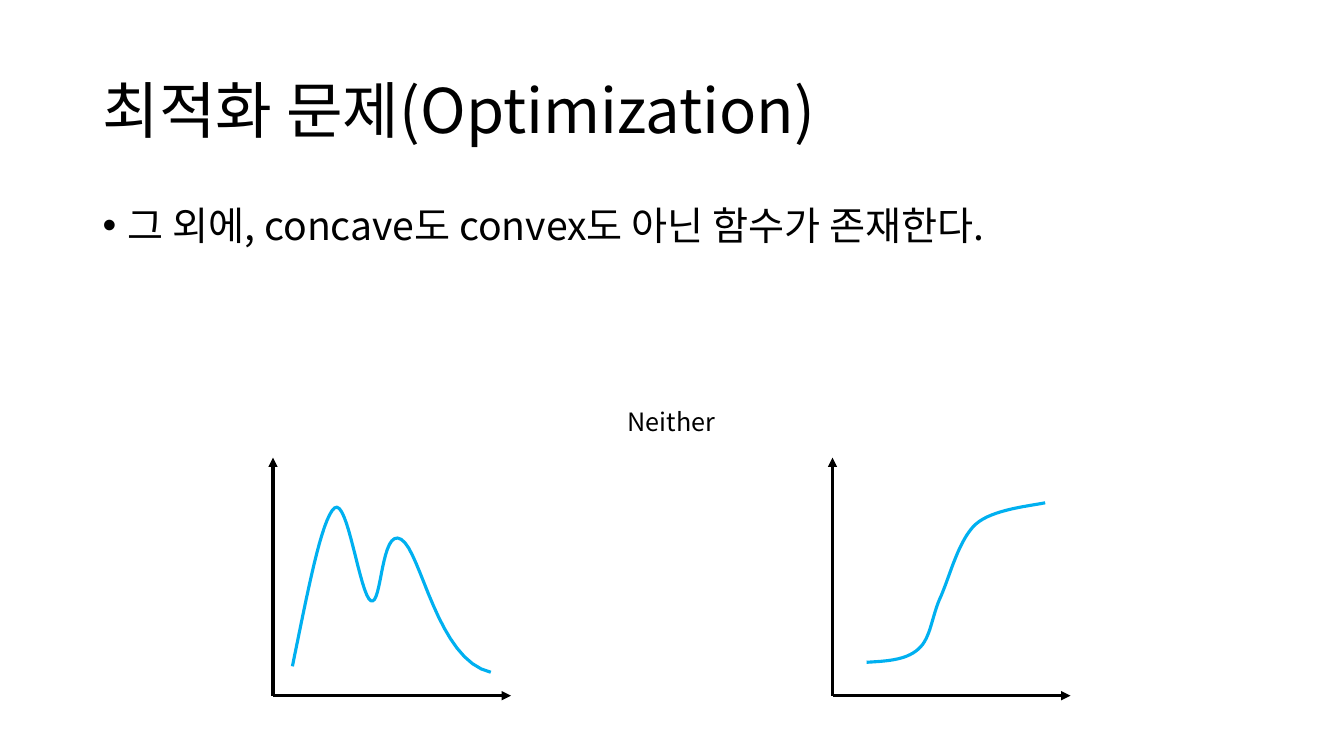
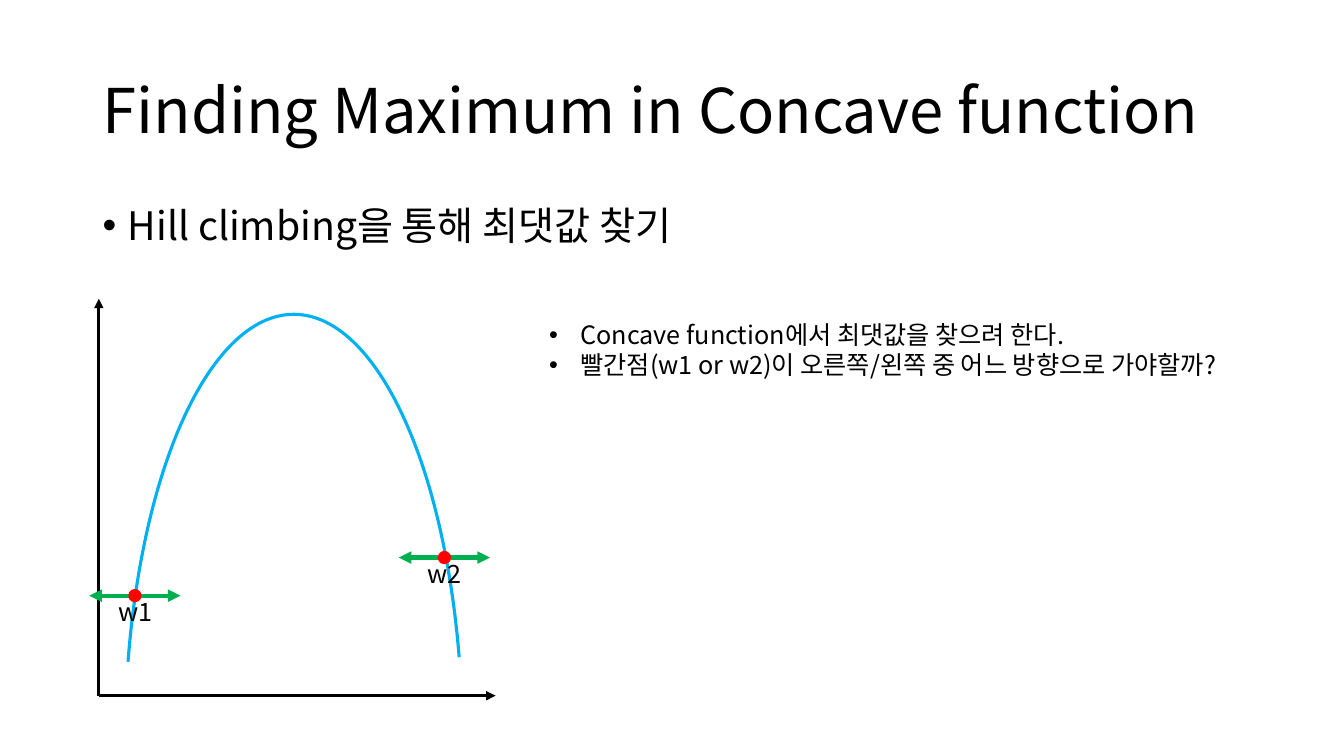
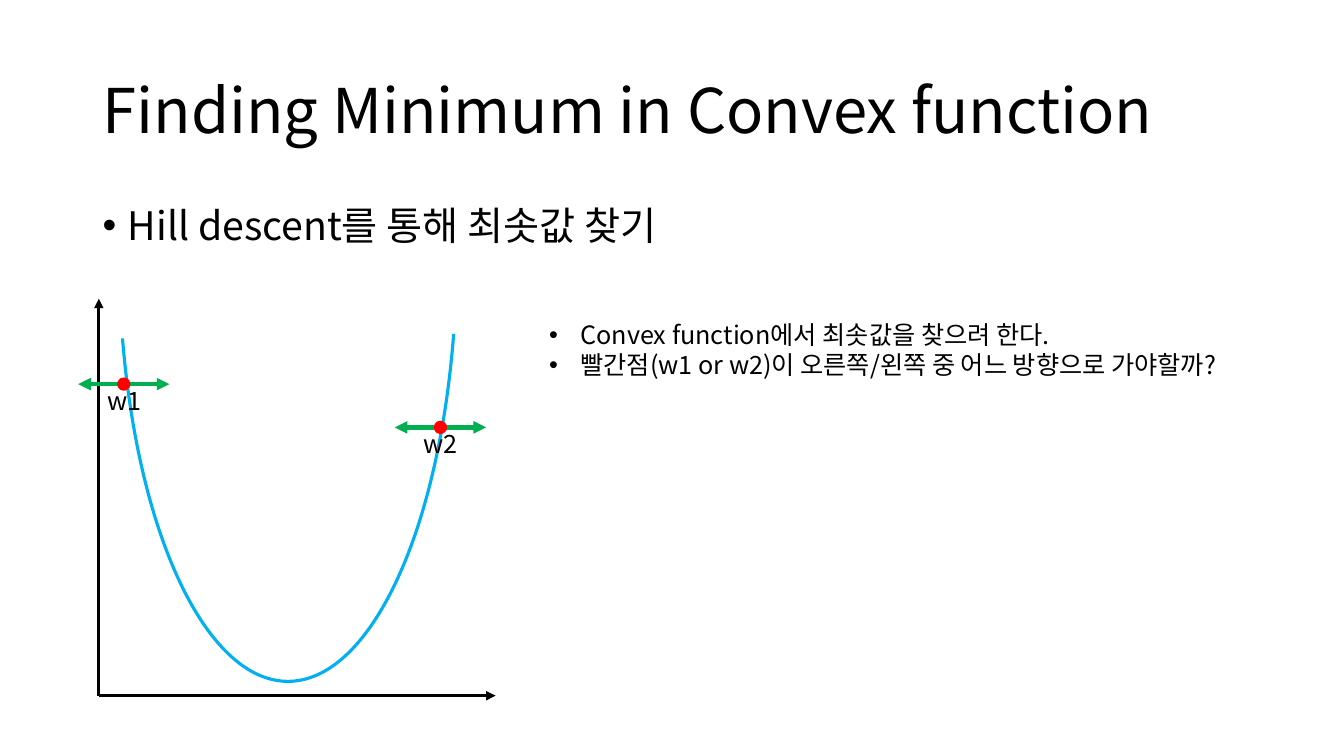
from pptx import Presentation
from pptx.dml.color import RGBColor
from pptx.enum.shapes import MSO_CONNECTOR, MSO_SHAPE
from pptx.enum.text import MSO_ANCHOR, MSO_AUTO_SIZE, PP_ALIGN
from pptx.oxml.ns import qn
from pptx.util import Cm, Pt
from lxml import etree

STRAIGHT = MSO_CONNECTOR.STRAIGHT
ARC, OVAL = MSO_SHAPE.ARC, MSO_SHAPE.OVAL
LEFT, CENTER = PP_ALIGN.LEFT, PP_ALIGN.CENTER
MIDDLE, TOP = MSO_ANCHOR.MIDDLE, MSO_ANCHOR.TOP
NO_FIT = MSO_AUTO_SIZE.NONE

FONT = "Noto Sans CJK KR"
BLACK, BLUE, GREEN, RED = "000000", "00B0F0", "00B050", "FF0000"
AXIS_Y = 17.53


def rgb(value):
    return RGBColor.from_string(value)


def box(x, y, w, h):
    return Cm(x), Cm(y), Cm(w), Cm(h)


def bezier(points, steps=16):
    """Sample a chain of cubic curves given as start, then triples."""
    result = [points[0]]
    for i in range(0, len(points) - 1, 3):
        for step in range(1, steps + 1):
            t = step / steps
            weights = ((1 - t) ** 3, 3 * t * (1 - t) ** 2, 3 * t * t * (1 - t), t ** 3)
            result.append(tuple(sum(w * p[axis] for w, p in zip(weights, points[i:i + 4]))
                                for axis in (0, 1)))
    return result


class Deck:
    def __init__(self):
        self.prs = Presentation()
        self.prs.slide_width, self.prs.slide_height = Cm(33.87), Cm(19.05)
        self.s = None

    # Text
    def paragraph(self, p, text, size, align=LEFT, indent=0):
        p.alignment = align
        if indent:
            pPr = p._p.get_or_add_pPr()
            pPr.set("marL", str(Cm(indent)))
            pPr.set("indent", str(-Cm(indent)))
            etree.SubElement(pPr, qn("a:buFont")).set("typeface", "Arial")
            etree.SubElement(pPr, qn("a:buChar")).set("char", "•")
        r = p.add_run()
        r.text = text
        r.font.size = Pt(size)
        r.font.color.rgb = rgb(BLACK)
        r.font.name = FONT
        etree.SubElement(r._r.get_or_add_rPr(), qn("a:ea")).set("typeface", FONT)

    def placeholder(self, sp, place, text, size, anchor, before=0, indent=0):
        sp.left, sp.top, sp.width, sp.height = box(*place)
        tf = sp.text_frame
        tf.auto_size = NO_FIT
        tf.vertical_anchor = anchor
        p = tf.paragraphs[0]
        p.line_spacing = 0.9
        p.space_before = Pt(before)
        self.paragraph(p, text, size, indent=indent)

    def slide(self, title, body):
        self.s = self.prs.slides.add_slide(self.prs.slide_layouts[1])
        self.placeholder(self.s.shapes.title, (2.33, 1.01, 29.21, 3.68), title, 44, MIDDLE)
        self.placeholder(self.s.placeholders[1], (2.33, 5.08, 28, 12.09), body, 28, TOP,
                         before=10, indent=0.64)

    def text(self, x, y, w, h, lines, align=LEFT, indent=0):
        tf = self.s.shapes.add_textbox(*box(x, y, w, h)).text_frame
        tf.word_wrap = True
        for i, line in enumerate(lines):
            p = tf.add_paragraph() if i else tf.paragraphs[0]
            self.paragraph(p, line, 18, align, indent)

    # Lines and shapes
    def outline(self, sp, color, width):
        sp.line.color.rgb = rgb(color)
        sp.line.width = Pt(width)

    def arrow(self, x1, y1, x2, y2, color, width):
        c = self.s.shapes.add_connector(STRAIGHT, Cm(x1), Cm(y1), Cm(x2), Cm(y2))
        self.outline(c, color, width)
        etree.SubElement(c.line._get_or_add_ln(), qn("a:tailEnd")).set("type", "triangle")
        etree.SubElement(c._element.spPr, qn("a:effectLst"))

    def axes(self, x, length):
        self.arrow(x, AXIS_Y, x + length, AXIS_Y, BLACK, 2.25)
        self.arrow(x, AXIS_Y, x, AXIS_Y - length, BLACK, 2.25)

    def open_line(self, sp):
        sp.shadow.inherit = False
        sp.fill.background()
        self.outline(sp, BLUE, 2.25)

    def curve(self, points):
        start, *rest = [(Cm(x), Cm(y)) for x, y in bezier(points)]
        builder = self.s.shapes.build_freeform(*start)
        builder.add_line_segments(rest, close=False)
        self.open_line(builder.convert_to_shape())

    def arc(self, x, y, rotation=0):
        sp = self.s.shapes.add_shape(ARC, *box(x, y, 8.51, 21.62))
        # Angles are in 60000ths of a degree, adjustments in 100000ths
        for i, degrees in enumerate((206.17, 332.53)):
            sp.adjustments[i] = degrees * 0.6
        sp.rotation = rotation
        self.open_line(sp)

    def weight(self, x, y, name):
        """A red point with arrows to both sides and its name below."""
        for side in (1, -1):
            self.arrow(x + side * 0.15, y, x + side * 1.15, y, GREEN, 3)
        sp = self.s.shapes.add_shape(OVAL, *box(x - 0.15, y - 0.15, 0.3, 0.3))
        sp.shadow.inherit = False
        sp.fill.solid()
        sp.fill.fore_color.rgb = rgb(RED)
        self.outline(sp, RED, 1)
        self.text(x - 1.02, y - 0.1, 2.06, 1.02, [name], CENTER)

    def search(self, title, body, goal, arc, points):
        """A slide that looks for the extreme value of one arc."""
        self.slide(title, body)
        self.axes(2.49, 10)
        self.arc(*arc)
        for i, (x, y) in enumerate(points, 1):
            self.weight(x, y, f"w{i}")
        self.text(13.59, 7.92, 19.43, 1.8,
                  [goal, "빨간점(w1 or w2)이 오른쪽/왼쪽 중 어느 방향으로 가야할까?"], indent=0.79)


def main():
    deck = Deck()

    # Functions that are neither concave nor convex
    deck.slide("최적화 문제(Optimization)", "그 외에, concave도 convex도 아닌 함수가 존재한다.")
    for x in (6.88, 20.98):
        deck.axes(x, 6)
    deck.text(6.88, 10.11, 20.09, 1.02, ["Neither"], CENTER)
    two_peaks = [(7.37, 16.79), (7.75, 14.94), (8.1, 13.08), (8.43, 12.8),
                 (8.76, 12.52), (9.07, 15.01), (9.35, 15.14),
                 (9.63, 15.27), (9.6, 13.28), (10.11, 13.59),
                 (10.62, 13.89), (11.02, 16.64), (12.37, 16.94)]
    s_curve = [(21.84, 16.69), (22.33, 16.66), (22.83, 16.64), (23.14, 16.36),
               (23.47, 16.08), (23.47, 15.54), (23.72, 15.01),
               (23.95, 14.48), (24.16, 13.61), (24.59, 13.21),
               (25.02, 12.83), (25.98, 12.75), (26.34, 12.67)]
    for points in (two_peaks, s_curve):
        deck.curve(points)

    # Maximum and minimum
    deck.search("Finding Maximum in Concave function", "Hill climbing을 통해 최댓값 찾기",
                "Concave function에서 최댓값을 찾으려 한다.",
                (3.15, 7.92), [(3.4, 15.01), (11.2, 14.05)])
    deck.search("Finding Minimum in Convex function", "Hill descent를 통해 최솟값 찾기",
                "Convex function에서 최솟값을 찾으려 한다.",
                (3, -4.45, 180), [(3.12, 9.68), (11.1, 10.77)])

    deck.prs.save("out.pptx")


if __name__ == "__main__":
    main()
